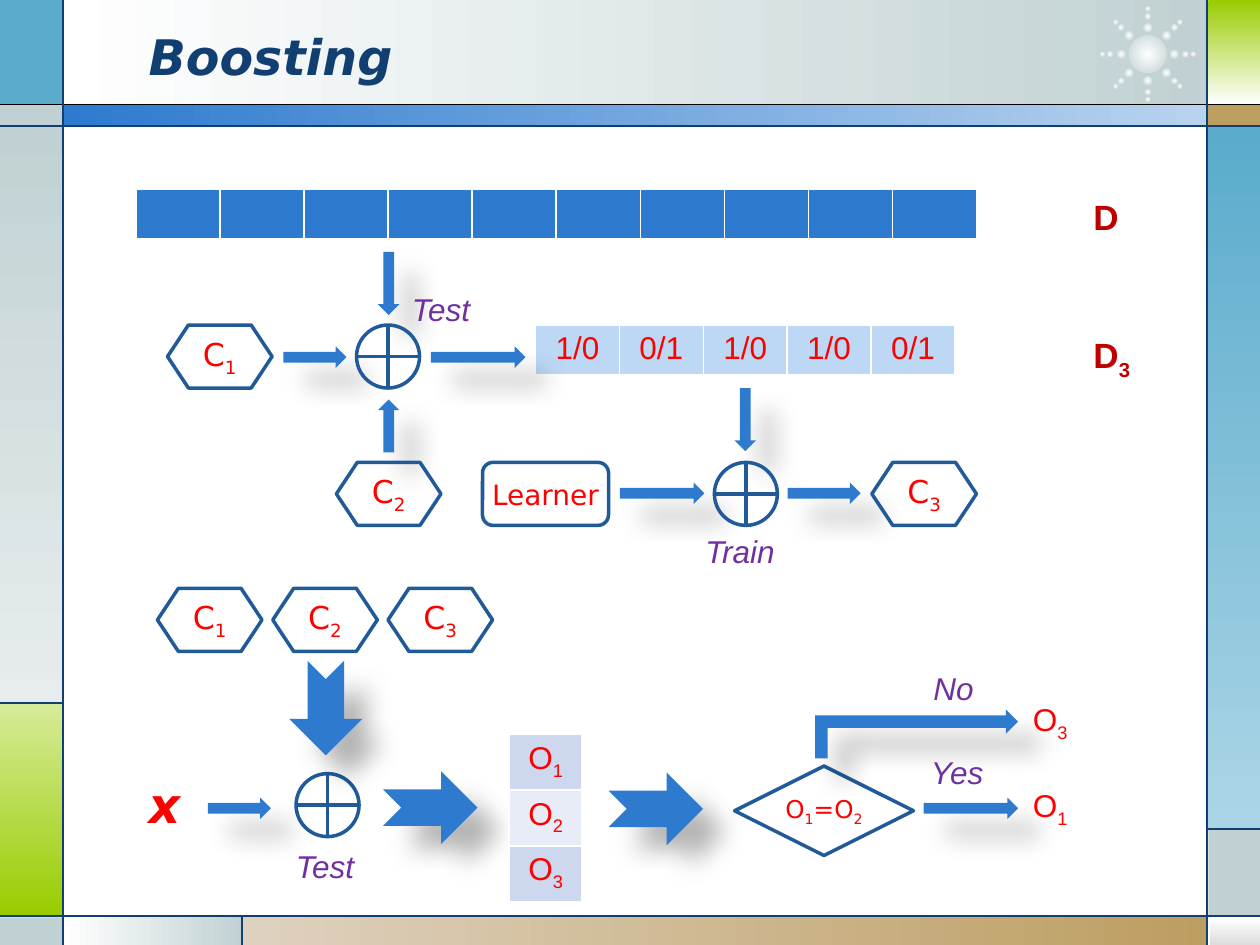
from dataclasses import dataclass
from math import cos, radians, sin

from lxml import etree
from pptx import Presentation
from pptx.dml.color import RGBColor
from pptx.enum.shapes import MSO_CONNECTOR, MSO_SHAPE
from pptx.enum.text import MSO_ANCHOR, PP_ALIGN
from pptx.oxml.ns import qn
from pptx.util import Inches, Pt

RECTANGLE, OVAL = MSO_SHAPE.RECTANGLE, MSO_SHAPE.OVAL
HEXAGON, DIAMOND = MSO_SHAPE.FLOWCHART_PREPARATION, MSO_SHAPE.FLOWCHART_DECISION
ROUNDED, CROSSED = MSO_SHAPE.FLOWCHART_ALTERNATE_PROCESS, MSO_SHAPE.FLOWCHART_OR
RIGHT, DOWN, UP = MSO_SHAPE.RIGHT_ARROW, MSO_SHAPE.DOWN_ARROW, MSO_SHAPE.UP_ARROW
NOTCHED, BENT = MSO_SHAPE.NOTCHED_RIGHT_ARROW, MSO_SHAPE.BENT_UP_ARROW
STRAIGHT = MSO_CONNECTOR.STRAIGHT
LEFT, CENTER = PP_ALIGN.LEFT, PP_ALIGN.CENTER
MIDDLE = MSO_ANCHOR.MIDDLE


@dataclass(frozen=True)
class Theme:
    """Colours, fonts and type sizes of the slide."""
    navy: str = "113F71"
    outline: str = "215A99"
    blue: str = "2D7ACF"
    pale_blue: str = "BDD8F5"
    teal: str = "5AABCC"
    gray: str = "C1D1D3"
    tan: str = "BD9E61"
    green: str = "99CC00"
    white: str = "FFFFFF"
    black: str = "000000"
    red: str = "FF0000"
    dark_red: str = "C00000"
    purple: str = "7030A0"
    bands: tuple = ("CDD7ED", "E8ECF6")
    body: str = "Arial"
    display: str = "DejaVu Sans"
    title_size: int = 28
    data_size: int = 20
    label_size: int = 18
    learner_size: int = 16
    decision_size: int = 14


THEME = Theme()


def rgb(color):
    """Turn a hex string into a colour."""
    return RGBColor.from_string(color)


def write(frame, text, color, size=THEME.label_size, face=THEME.body, align=CENTER, bold=False, italic=False):
    """Write one paragraph in which the character after an underscore is a subscript."""
    para = frame.paragraphs[0]
    para.alignment = align
    font = para.font
    font.name, font.size, font.bold, font.italic = face, Pt(size), bold, italic
    font.color.rgb = rgb(color)
    head, *tails = text.split("_")
    pieces = [(head, False)]
    for tail in tails:
        pieces += [(tail[:1], True), (tail[1:], False)]
    for piece, lowered in pieces:
        if piece:
            span = para.add_run()
            span.text = piece
            if lowered:
                span._r.get_or_add_rPr().set("baseline", "-25000")


def add_shape(page, kind, place, fill=None):
    """Add a preset shape without outline or shadow."""
    shape = page.shapes.add_shape(kind, *map(Inches, place))
    shape.shadow.inherit = False
    shape.line.fill.background()
    if fill is None:
        shape.fill.background()
    else:
        shape.fill.solid()
        shape.fill.fore_color.rgb = rgb(fill)
    return shape


def add_gradient(page, kind, place, colors, angle=0):
    """Add a shape with a two-colour gradient."""
    shape = add_shape(page, kind, place)
    shape.fill.gradient()
    shape.fill.gradient_angle = angle
    for stop, color, position in zip(shape.fill.gradient_stops, colors, (0, 1)):
        stop.color.rgb = rgb(color)
        stop.position = position
    return shape


def add_glow(page, x, y, size):
    """Add a round dot that fades outward from white."""
    dot = add_gradient(page, OVAL, (x - size / 2, y - size / 2, size, size), (THEME.white, THEME.gray))
    gradient = dot._element.spPr.find(qn("a:gradFill"))
    gradient.remove(gradient.find(qn("a:lin")))
    radial = etree.SubElement(gradient, qn("a:path"), {"path": "circle"})
    etree.SubElement(radial, qn("a:fillToRect"), dict.fromkeys("ltrb", "50000"))


def add_rule(page, x1, y1, x2, y2, color=THEME.navy):
    """Add a thin frame line."""
    rule = page.shapes.add_connector(STRAIGHT, *map(Inches, (x1, y1, x2, y2)))
    rule.line.color.rgb = rgb(color)
    rule.line.width = Pt(0.75)
    etree.SubElement(rule._element.spPr, qn("a:effectLst"))


def add_arrow(page, kind, *place, turn=0, flip=False):
    """Add a blue block arrow with a soft shadow."""
    arrow = add_shape(page, kind, place, THEME.blue)
    arrow.rotation = turn
    if flip:
        arrow._element.spPr.find(qn("a:xfrm")).set("flipV", "1")
    effects = arrow._element.spPr.find(qn("a:effectLst"))
    shadow = etree.SubElement(effects, qn("a:outerShdw"), {
        "blurRad": str(Pt(15)), "dist": str(Pt(18)), "dir": "2700000", "algn": "tl", "rotWithShape": "0"})
    tint = etree.SubElement(shadow, qn("a:srgbClr"), {"val": THEME.black})
    etree.SubElement(tint, qn("a:alpha"), {"val": "30000"})


def add_node(page, kind, x, y, width=0.5, height=0.5, text="", size=THEME.label_size):
    """Add an outlined flowchart node."""
    node = add_shape(page, kind, (x, y, width, height))
    node.line.color.rgb = rgb(THEME.outline)
    node.line.width = Pt(2)
    if text:
        frame = node.text_frame
        frame.margin_left = frame.margin_right = 0
        if kind == DIAMOND:
            frame.margin_top = frame.margin_bottom = 0
        frame.vertical_anchor = MIDDLE
        write(frame, text, THEME.red, size, THEME.display)


def add_label(page, text, place, color=THEME.purple, **style):
    """Add an unwrapped text label."""
    box = page.shapes.add_textbox(*map(Inches, place))
    box.text_frame.word_wrap = False
    write(box.text_frame, text, color, **style)


def add_grid(page, rows, place, fills, bottom=1, margin=0.1):
    """Add a table with white borders and one fill per row in turn."""
    grid = page.shapes.add_table(len(rows), len(rows[0]), *map(Inches, place)).table
    grid.first_row = grid.horz_banding = False
    for r, row in enumerate(rows):
        for c, text in enumerate(row):
            cell = grid.cell(r, c)
            for side, width in (("L", 1), ("R", 1), ("T", 1), ("B", bottom)):
                edge = etree.SubElement(cell._tc.get_or_add_tcPr(), qn("a:ln" + side), {"w": str(Pt(width))})
                paint = etree.SubElement(edge, qn("a:solidFill"))
                etree.SubElement(paint, qn("a:srgbClr"), {"val": THEME.white})
            cell.fill.solid()
            cell.fill.fore_color.rgb = rgb(fills[r % len(fills)])
            cell.margin_left = cell.margin_right = Inches(margin)
            write(cell.text_frame, text, THEME.red)


def add_frame(page):
    """Draw the coloured border, its lines and the star of dots."""
    t = THEME
    for place, color in (((0, 0, 0.5, 0.84), t.teal), ((0, 0.83, 0.5, 0.17), t.gray),
                         ((0, 7.28, 0.5, 0.22), t.gray), ((9.59, 6.58, 0.41, 0.7), t.gray),
                         ((9.58, 0.83, 0.42, 0.17), t.tan)):
        add_shape(page, RECTANGLE, place, color)
    for place, colors in (((0.5, 0, 9.09, 0.84), (t.white, t.gray)), ((0.5, 7.27, 1.43, 0.23), (t.white, t.gray)),
                          ((1.92, 7.27, 7.67, 0.23), ("DED1BF", t.tan)),
                          ((0.5, 0.83, 9.09, 0.17), (t.blue, "B9D3EF"))):
        add_gradient(page, RECTANGLE, place, colors)
    for place, colors in (((0, 1, 0.5, 4.58), (t.gray, "E7EDEE")), ((0, 5.58, 0.5, 1.69), ("D6EB99", t.green)),
                          ((9.6, 7.28, 0.4, 0.22), (t.white, "DDDDDD")), ((9.58, 1, 0.42, 5.58), (t.teal, "ABD5E6")),
                          ((9.59, 0, 0.41, 0.83), (t.green, t.white))):
        add_gradient(page, RECTANGLE, place, colors, 270)
    add_glow(page, 9.11, 0.43, 0.3)
    for angle in range(0, 360, 45):
        for reach, size in ((0.21, 0.07), (0.3, 0.05), (0.36, 0.04)):
            add_glow(page, 9.11 + reach * cos(radians(angle)), 0.43 + reach * sin(radians(angle)), size)
    add_rule(page, 0, 0.83, 10, 0.83, t.black)
    for ends in ((0, 1, 10, 1), (0, 7.27, 10, 7.27), (0.5, 0, 0.5, 7.5), (9.58, 0, 9.58, 7.5),
                 (0, 5.58, 0.5, 5.58), (1.92, 7.27, 1.92, 7.5), (9.58, 6.58, 10, 6.58)):
        add_rule(page, *ends)


def add_title(page, text):
    """Place the title above the frame."""
    title = page.shapes.title
    title.left, title.top, title.width, title.height = map(Inches, (1.08, 0.13, 7.33, 0.62))
    title.text_frame.vertical_anchor = MIDDLE
    write(title.text_frame, text, THEME.navy, THEME.title_size, THEME.display, LEFT, True, True)
    page.shapes._spTree.append(title._element)


def add_training(page):
    """Draw how the third classifier is trained."""
    add_grid(page, [[""] * 10], (1.08, 1.5, 6.67, 0.41), [THEME.blue], 3)
    add_grid(page, [["1/0", "0/1", "1/0", "1/0", "0/1"]], (4.25, 2.58, 3.33, 0.41), [THEME.pale_blue], 3, 0)
    for text, y, width in (("D", 1.5, 0.41), ("D_3", 2.6, 0.51)):
        add_label(page, text, (8.58, y, width, 0.44), THEME.dark_red, size=THEME.data_size, align=LEFT, bold=True)
    for x, y, width in ((2.25, 2.75, 0.5), (3.42, 2.75, 0.75), (4.92, 3.83, 0.67), (6.25, 3.83, 0.58)):
        add_arrow(page, RIGHT, x, y, width, 0.17)
    add_arrow(page, DOWN, 3, 2, 0.17, 0.5)
    add_arrow(page, DOWN, 5.83, 3.08, 0.17, 0.5)
    add_arrow(page, UP, 3, 3.17, 0.17, 0.42)
    add_node(page, CROSSED, 2.83, 2.58)
    add_node(page, CROSSED, 5.67, 3.67)
    for text, x, y in (("C_1", 1.33, 2.58), ("C_2", 2.67, 3.67), ("C_3", 6.92, 3.67)):
        add_node(page, HEXAGON, x, y, 0.83, 0.5, text)
    add_node(page, ROUNDED, 3.83, 3.67, 1, 0.5, "Learner", THEME.learner_size)


def add_testing(page):
    """Draw how the three classifiers decide on an input."""
    for index in range(3):
        add_node(page, HEXAGON, 1.25 + index * 0.915, 4.67, 0.83, 0.5, f"C_{index + 1}")
    add_label(page, "x", (0.97, 6.1, 0.67, 0.56), THEME.red, size=THEME.title_size,
              face=THEME.display, bold=True, italic=True)
    add_node(page, CROSSED, 2.35, 6.14)
    add_arrow(page, RIGHT, 1.65, 6.33, 0.5, 0.17)
    add_arrow(page, NOTCHED, 2.21, 5.33, 0.75, 0.58, turn=90)
    add_arrow(page, NOTCHED, 3.04, 6.12, 0.75, 0.58)
    add_grid(page, [["O_1"], ["O_2"], ["O_3"]], (4.04, 5.83, 0.58, 1.22), THEME.bands)
    add_arrow(page, NOTCHED, 4.83, 6.13, 0.75, 0.58)
    add_node(page, DIAMOND, 5.83, 6.08, 1.42, 0.71, "O_1=O_2", THEME.decision_size)
    add_arrow(page, RIGHT, 7.33, 6.33, 0.75, 0.17)
    add_arrow(page, BENT, 7.08, 5.02, 0.39, 1.61, turn=270, flip=True)
    for text, y in (("O_1", 6.19), ("O_3", 5.51)):
        add_label(page, text, (8.09, y, 0.49, 0.4), THEME.red)


def main():
    """Build the slide and save it."""
    deck = Presentation()
    deck.slide_width, deck.slide_height = Inches(10), Inches(7.5)
    page = deck.slides.add_slide(deck.slide_layouts[5])
    add_frame(page)
    add_title(page, "Boosting")
    add_training(page)
    add_testing(page)
    for text, x, y, width in (("Train", 5.5, 4.17, 0.77), ("Test", 3.17, 2.25, 0.67), ("Test", 2.25, 6.67, 0.67),
                              ("No", 7.31, 5.26, 0.52), ("Yes", 7.29, 5.93, 0.62)):
        add_label(page, text, (x, y, width, 0.4), align=LEFT, italic=True)
    deck.save("out.pptx")


if __name__ == "__main__":
    main()
